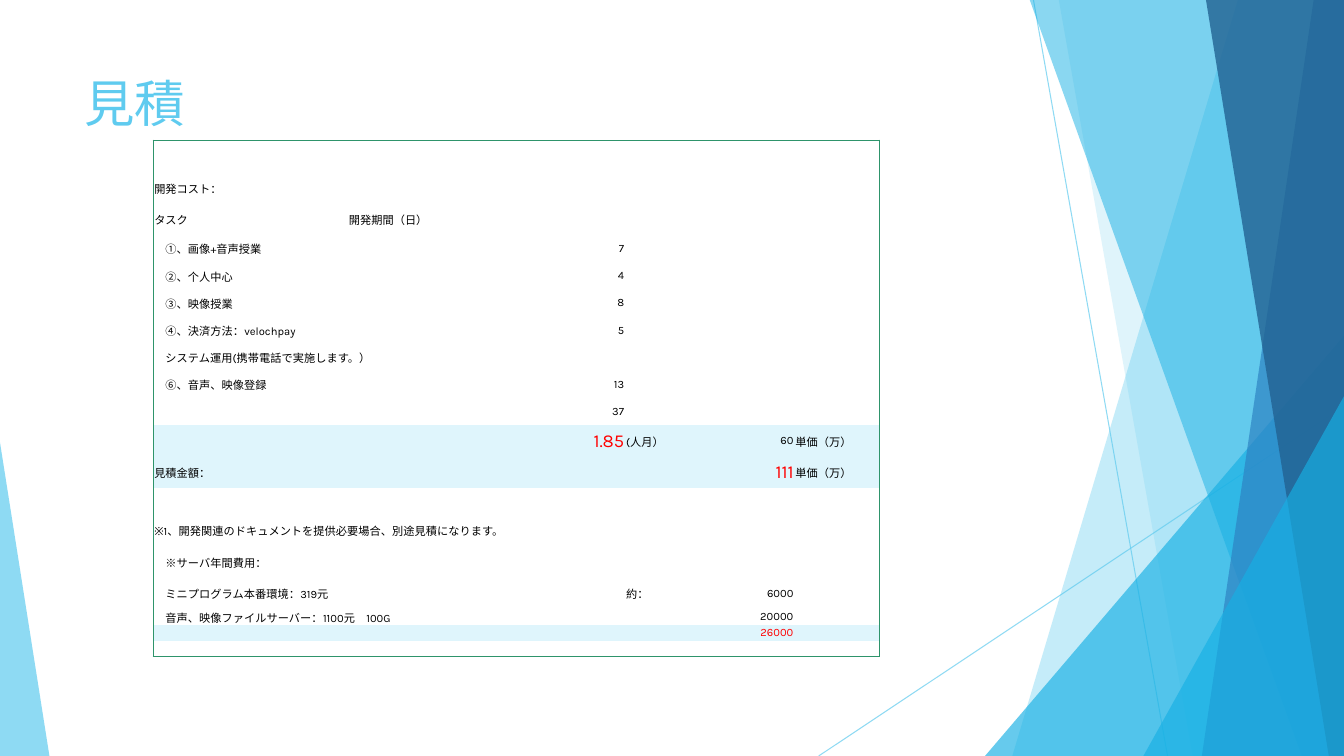
from dataclasses import dataclass

from lxml import etree
from pptx import Presentation
from pptx import util as u
from pptx.dml.color import RGBColor
from pptx.enum import shapes, text
from pptx.oxml import ns


@dataclass(frozen=True)
class Theme:
    sky: str = "5FCBEF"
    cyan: str = "17B0E4"
    blue: str = "2E83C3"
    navy: str = "226292"
    green: str = "2E946B"
    band: str = "DFF5FC"
    black: str = "000000"
    red: str = "FF0000"
    latin: str = "Karla"
    asian: str = "Noto Sans CJK JP"
    title: int = 36
    body: int = 8
    total: int = 13


T = Theme()
NO_STYLE = "{2D5ABB26-0587-4C30-8999-92F81FD0307C}"
W, H = 13.33, 7.5
TOP = -0.01

RAYS = [((10.25, 0), (11.58, H)), ((W, 4.03), (8.12, H))]
BACK_FACETS = [
    ((12.28, W, W, 10.04), T.sky, 36),
    ((10.5, W, W, 11.83), T.sky, 20),
]
FRONT_FACETS = [
    ((10.21, W, W, 12.91), T.cyan, 50),
    ((13.03, W, W, 11.92), T.blue, 70),
    ((11.96, W, W, 13.18), T.navy, 80),
]

COLS = [1.93, 2.75, 0.84, 0.84, 0.84]
ROWS = [0.16] * 2 + [0.31] * 2 + [0.27] * 7 + [0.31] * 2 + [0.27] + [0.31] * 3 + [0.16] * 3
BAND_ROWS = {11, 12, 18}
SPANS = {8: 2, 14: 5, 15: 5, 17: 2}
RIGHT_CELLS = {(r, 1) for r in range(4, 12)} | {(r, 3) for r in range(11, 19)}
STYLES = {
    (11, 1): (T.total, T.red),
    (12, 3): (T.total, T.red),
    (18, 3): (T.body, T.red),
}
ESTIMATE = {
    2: {0: "開発コスト："},
    3: {0: "タスク", 1: "開発期間（日）"},
    4: {0: "　①、画像+音声授業", 1: "7"},
    5: {0: "　②、个人中心", 1: "4"},
    6: {0: "　③、映像授業", 1: "8"},
    7: {0: "　④、決済方法：velochpay", 1: "5"},
    8: {0: "　システム運用(携帯電話で実施します。）"},
    9: {0: "　⑥、音声、映像登録", 1: "13"},
    10: {1: "37"},
    11: {1: "1.85", 2: "(人月）", 3: "60", 4: "単価（万）"},
    12: {0: "見積金額：", 3: "111", 4: "単価（万）"},
    14: {0: "※1、開発関連のドキュメントを提供必要場合、別途見積になります。"},
    15: {0: "　※サーバ年間費用："},
    16: {0: "　ミニプログラム本番環境：319元", 2: "約：", 3: "6000"},
    17: {0: "　音声、映像ファイルサーバー：1100元　100G", 3: "20000"},
    18: {3: "26000"},
}


def rgb(color):
    return RGBColor.from_string(color)


def child(parent, tag, **attrs):
    return etree.SubElement(parent, ns.qn(tag), **attrs)


def set_alpha(fill_parent, percent):
    color = fill_parent.find(".//" + ns.qn("a:srgbClr"))
    child(color, "a:alpha", val=str(percent * 1000))


def paint(sp, color, opacity):
    sp.shadow.inherit = False
    sp.fill.solid()
    sp.fill.fore_color.rgb = rgb(color)
    set_alpha(sp._element.spPr, opacity)
    sp.line.fill.background()


def add_ray(s, start, end):
    line = s.shapes.add_connector(
        shapes.MSO_CONNECTOR.STRAIGHT, *[u.Inches(v) for v in start + end])
    line.line.color.rgb = rgb(T.sky)
    line.line.width = u.Pt(0.75)
    spPr = line._element.spPr
    set_alpha(spPr, 70)
    child(spPr, "a:effectLst")


def add_facet(s, xs, color, opacity):
    points = [(u.Inches(x), u.Inches(y)) for x, y in zip(xs, (TOP, TOP, H, H))]
    outline = s.shapes.build_freeform(*points[0])
    outline.add_line_segments(points[1:], close=True)
    paint(outline.convert_to_shape(), color, opacity)


def add_triangle(s, left, top, width, apex, color, opacity):
    box = [u.Inches(v) for v in (left, top, width, H - top)]
    sp = s.shapes.add_shape(shapes.MSO_SHAPE.ISOSCELES_TRIANGLE, *box)
    sp.adjustments[0] = apex
    paint(sp, color, opacity)


def add_run(p, words, size, color):
    r = p.add_run()
    r.text = words
    r.font.size = u.Pt(size)
    r.font.name = T.latin
    r.font.color.rgb = rgb(color)
    child(r._r.get_or_add_rPr(), "a:ea", typeface=T.asian)


def add_title(s, words):
    box = s.shapes.add_textbox(*[u.Inches(v) for v in (0.74, 0.67, 9.4, 1.44)])
    tf = box.text_frame
    tf.word_wrap = True
    add_run(tf.paragraphs[0], words, T.title, T.sky)


def add_border(cell, tag):
    ln = child(cell._tc.get_or_add_tcPr(), tag, w=str(u.Pt(1)))
    child(child(ln, "a:solidFill"), "a:srgbClr", val=T.green)


def fill_cell(cell, row, col):
    last_col = col + SPANS.get(row, 1) - 1 if col == 0 else col
    edges = {
        "a:lnL": col == 0,
        "a:lnR": last_col == len(COLS) - 1,
        "a:lnT": row == 0,
        "a:lnB": row == len(ROWS) - 1,
    }
    for tag, on_edge in edges.items():
        if on_edge:
            add_border(cell, tag)
    if row in BAND_ROWS:
        cell.fill.solid()
        cell.fill.fore_color.rgb = rgb(T.band)
    else:
        cell.fill.background()
    cell.margin_left = cell.margin_right = cell.margin_top = u.Inches(0.01)
    cell.margin_bottom = 0
    cell.vertical_anchor = text.MSO_ANCHOR.MIDDLE
    p = cell.text_frame.paragraphs[0]
    words = ESTIMATE.get(row, {}).get(col)
    if words is None:
        child(p._p, "a:endParaRPr", sz=str(T.body * 100))
        return
    if (row, col) in RIGHT_CELLS:
        p.alignment = text.PP_ALIGN.RIGHT
    add_run(p, words, *STYLES.get((row, col), (T.body, T.black)))


def add_estimate_table(s):
    box = [u.Inches(v) for v in (1.52, 1.39, sum(COLS), sum(ROWS))]
    frame = s.shapes.add_table(len(ROWS), len(COLS), *box)
    table = frame.table
    table.first_row = table.horz_banding = False
    table._tbl.tblPr.find(ns.qn("a:tableStyleId")).text = NO_STYLE
    for column, width in zip(table.columns, COLS):
        column.width = u.Inches(width)
    for row, height in zip(table.rows, ROWS):
        row.height = u.Inches(height)
    for row, span in SPANS.items():
        table.cell(row, 0).merge(table.cell(row, span - 1))
    for row in range(len(ROWS)):
        for col in range(len(COLS)):
            fill_cell(table.cell(row, col), row, col)


def main():
    prs = Presentation()
    prs.slide_width, prs.slide_height = u.Inches(W), u.Inches(H)
    s = prs.slides.add_slide(prs.slide_layouts[6])
    for start, end in RAYS:
        add_ray(s, start, end)
    for facet in BACK_FACETS:
        add_facet(s, *facet)
    add_triangle(s, 9.77, 3.33, 3.56, 1, T.cyan, 66)
    for facet in FRONT_FACETS:
        add_facet(s, *facet)
    add_triangle(s, 11.34, 3.93, 1.99, 1, T.cyan, 66)
    add_triangle(s, 0, 4.39, 0.49, 0, T.sky, 70)
    add_title(s, "見積")
    add_estimate_table(s)
    prs.save("out.pptx")


if __name__ == "__main__":
    main()
